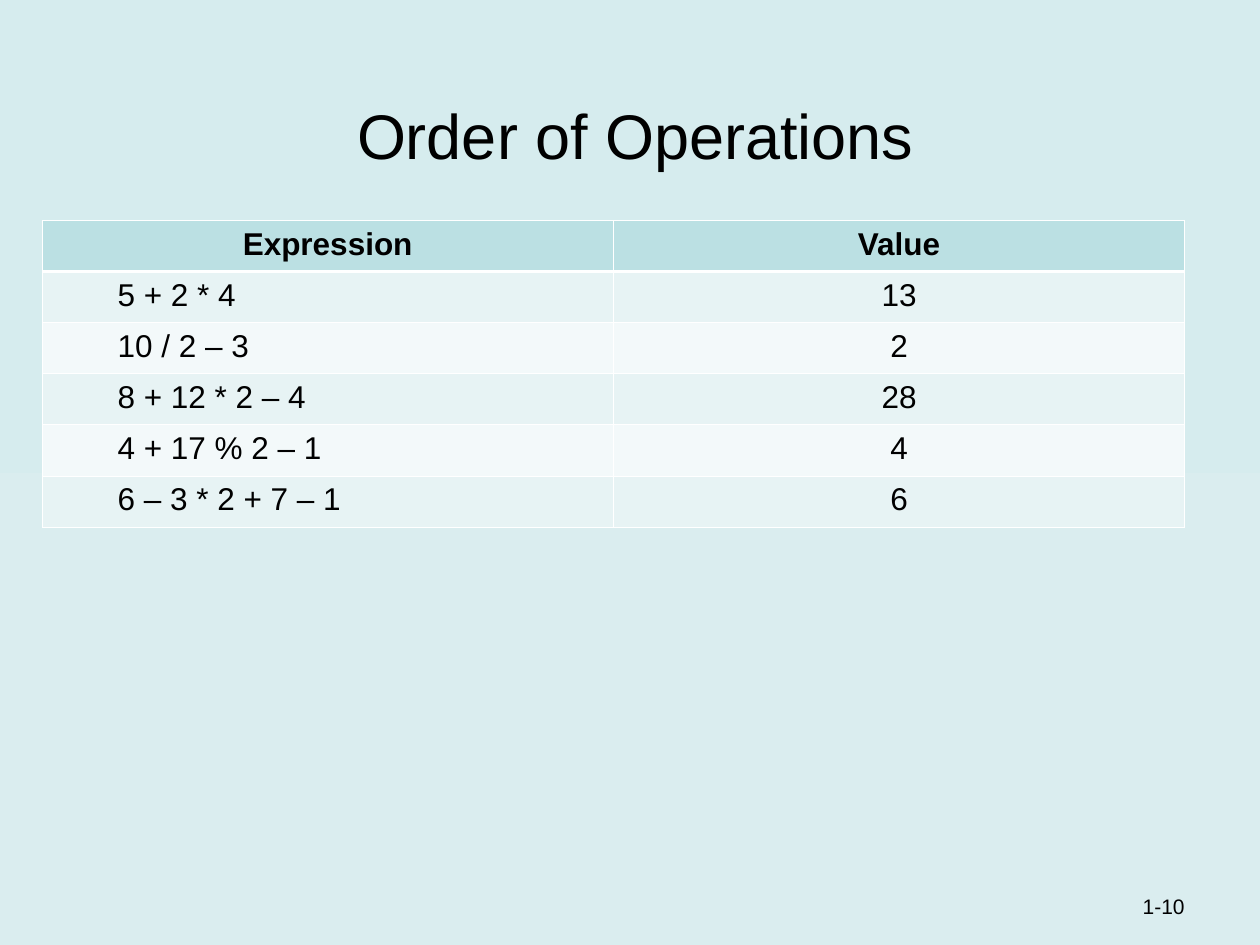
import pptx
import pptx.util
import pptx.dml.color
import pptx.enum.text
import pptx.oxml
import pptx.oxml.ns

ALIGN = pptx.enum.text.PP_ALIGN
ANCHOR = pptx.enum.text.MSO_ANCHOR
ROWS = [
    ("Expression", "Value"),
    ("5 + 2 * 4", "13"),
    ("10 / 2 – 3", "2"),
    ("8 + 12 * 2 – 4", "28"),
    ("4 + 17 % 2 – 1", "4"),
    ("6 – 3 * 2 + 7 – 1", "6"),
]


def tint(code):
    """Turn a hex string into a colour."""
    return pptx.dml.color.RGBColor.from_string(code)


def write(frame, text, size=18, bold=False, align=ALIGN.CENTER, color="000000",
          font="Arial", indent=0, anchor=ANCHOR.TOP):
    """Put formatted text into a text frame."""
    frame.word_wrap = True
    frame.vertical_anchor = anchor
    para = frame.paragraphs[0]
    para.alignment = align
    if indent:
        para.level = 1
        props = para._p.get_or_add_pPr()
        props.set("marL", str(pptx.util.Inches(indent)))
        props.set("indent", "0")
    run = para.add_run()
    run.text = text
    run.font.size = pptx.util.Pt(size)
    run.font.name = font
    run.font.bold = bold
    run.font.color.rgb = tint(color)


def edge(cell, widths, color):
    """Draw a cell's borders, given widths by side."""
    props = cell._tc.get_or_add_tcPr()
    space = pptx.oxml.ns.nsdecls("a")
    for spot, (side, width) in enumerate(widths.items()):
        line = pptx.oxml.parse_xml(
            f'<a:ln{side} {space} w="{pptx.util.Pt(width)}"><a:solidFill>'
            f'<a:srgbClr val="{color}"/></a:solidFill></a:ln{side}>')
        props.insert(spot, line)


class Deck:
    """Holds the style and the current slide."""

    head, odd, even, rule = "BBE0E3", "E7F3F4", "F3F9FA", "FFFFFF"
    thin, thick = 0.45, 1.47

    def __init__(self):
        """Start a deck with one title slide."""
        self.show = pptx.Presentation()
        self.show.slide_width = pptx.util.Inches(10)
        self.show.slide_height = pptx.util.Inches(7.5)
        self.slide = self.show.slides.add_slide(self.show.slide_layouts[5])

    def span(self, left, top, width, height):
        """Turn percentages of the slide into lengths."""
        wide, high = self.show.slide_width, self.show.slide_height
        return [int(share * full / 100) for share, full in
                zip((left, top, width, height), (wide, high, wide, high))]

    def ground(self, low, high):
        """Fill the background from bottom to top."""
        fill = self.slide.background.fill
        fill.gradient()
        fill.gradient_angle = 90
        for stop, code in zip(fill.gradient_stops, (low, high)):
            stop.color.rgb = tint(code)

    def title(self, text, *box):
        """Place and fill the title."""
        shape = self.slide.shapes.title
        shape.left, shape.top, shape.width, shape.height = self.span(*box)
        write(shape.text_frame, text, size=36, anchor=ANCHOR.BOTTOM)

    def label(self, text, *box, **style):
        """Add a text box."""
        shape = self.slide.shapes.add_textbox(*self.span(*box))
        write(shape.text_frame, text, **style)

    def table(self, rows, *box):
        """Add a banded table with a bold header row."""
        frame = self.slide.shapes.add_table(len(rows), len(rows[0]), *self.span(*box))
        for down, row in enumerate(rows):
            for over, text in enumerate(row):
                cell = frame.table.cell(down, over)
                body = down > 0 and over == 0
                write(cell.text_frame, text, bold=down == 0,
                      align=ALIGN.LEFT if body else ALIGN.CENTER,
                      indent=0.5 if body else 0)
                cell.fill.solid()
                band = self.odd if down % 2 else self.even
                cell.fill.fore_color.rgb = tint(band if down else self.head)
                edge(cell, {"L": self.thin, "R": self.thin,
                            "T": self.thick if down == 1 else self.thin,
                            "B": self.thin if down else self.thick}, self.rule)


def main():
    """Build and save the slide."""
    deck = Deck()
    deck.ground("DAEDEF", "D6ECEE")
    deck.title("Order of Operations", 3.33, 4.4, 94.2, 14.53)
    deck.table(ROWS, 3.33, 23.33, 90.7, 32.45)
    deck.label("1-10", 74.2, 91.2, 20.8, 6.67, size=12, align=ALIGN.RIGHT,
               anchor=ANCHOR.BOTTOM)
    deck.show.save("out.pptx")


if __name__ == "__main__":
    main()
